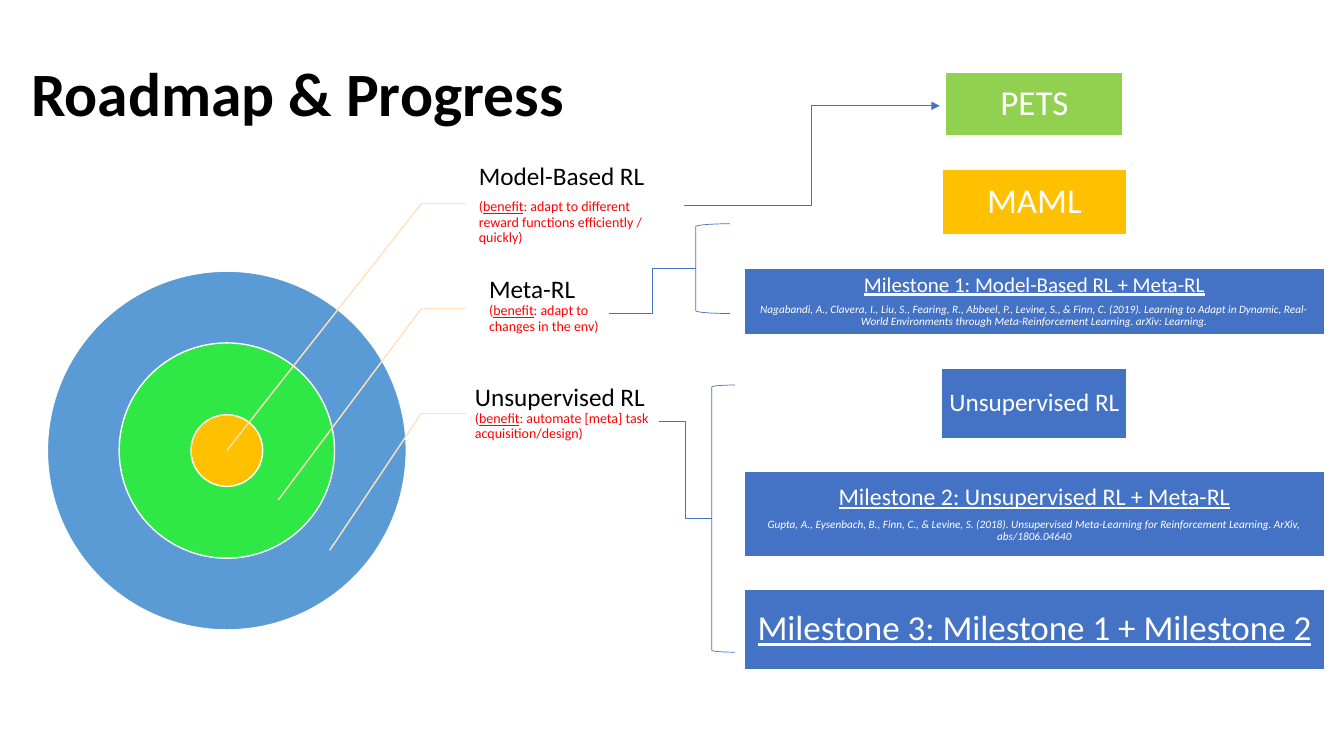
from lxml.etree import SubElement
from pptx import Presentation
from pptx.dml.color import RGBColor
from pptx.enum.shapes import MSO_CONNECTOR as CONN, MSO_SHAPE as SHAPE
from pptx.enum.text import MSO_ANCHOR as ANCHOR, MSO_AUTO_SIZE as FIT, PP_ALIGN as ALIGN
from pptx.oxml.ns import qn
from pptx.util import Inches, Pt

BLACK = RGBColor(0, 0, 0)
WHITE = RGBColor(255, 255, 255)
RED = RGBColor(255, 0, 0)
SKY = RGBColor(0x5B, 0x9B, 0xD5)
GREEN = RGBColor(0x30, 0xE8, 0x45)
LIME = RGBColor(0x92, 0xD0, 0x50)
AMBER = RGBColor(0xFF, 0xC0, 0)
BLUE = RGBColor(0x44, 0x72, 0xC4)
PEACH = RGBColor(0xFF, 0xE2, 0xBD)

RINGS = [(5, SKY), (3, GREEN), (1, AMBER)]
TOPICS = [
    ("Model-Based RL", ": adapt to different reward functions efficiently / quickly)",
     (4.61, 1.51, 2.06), (2.25, 4.47), True),
    ("Meta-RL ", ": adapt to changes in the env)",
     (4.71, 2.51, 1.42), (2.76, 4.96), False),
    ("Unsupervised RL", ": automate [meta] task acquisition/design)",
     (4.57, 3.58, 2.2), (3.27, 5.46), False),
]
STEPS = [
    ("PETS", "", 1.76, 0.63, 25, 0.07, LIME),
    ("MAML", "", 1.83, 0.65, 25, 0.07, AMBER),
    ("Milestone 1: Model-Based RL + Meta-RL",
     "Nagabandi, A., Clavera, I., Liu, S., Fearing, R., Abbeel, P., Levine, S., & Finn, C. (2019). "
     "Learning to Adapt in Dynamic, Real-World Environments through Meta-Reinforcement Learning. "
     "arXiv: Learning.", 5.76, 0.66, 15, 0.04, BLUE),
    ("Unsupervised RL", "", 1.84, 0.7, 18, 0.05, BLUE),
    ("Milestone 2: Unsupervised RL + Meta-RL",
     "Gupta, A., Eysenbach, B., Finn, C., & Levine, S. (2018). Unsupervised Meta-Learning for "
     "Reinforcement Learning. ArXiv, abs/1806.04640", 5.76, 0.84, 17, 0.05, BLUE),
    ("Milestone 3: Milestone 1 + Milestone 2", "", 5.76, 0.79, 25, 0.07, BLUE),
]


def style_run(run, size, color, bold=False, italic=False, underline=False):
    run.font.name = "Calibri"
    run.font.size = Pt(size)
    run.font.color.rgb = color
    run.font.bold = bold
    run.font.italic = italic
    run.font.underline = underline


def space_paragraph(paragraph, size):
    paragraph.line_spacing = 0.9
    paragraph.space_after = Pt(round(size * 0.35, 1))


def set_frame(frame, left, other):
    frame.word_wrap = True
    frame.auto_size = FIT.NONE
    frame.vertical_anchor = ANCHOR.MIDDLE
    frame.margin_left = Inches(left)
    frame.margin_top = frame.margin_right = frame.margin_bottom = Inches(other)


def add_line(slide, start, end, color, width, kind=CONN.STRAIGHT, arrow=False):
    line = slide.shapes.add_connector(kind, *map(Inches, (*start, *end)))
    line.line.color.rgb = color
    line.line.width = Pt(width)
    properties = line._element.spPr
    if arrow:
        SubElement(properties.find(qn("a:ln")), qn("a:tailEnd"), type="triangle")
    SubElement(properties, qn("a:effectLst"))


def add_figure(slide, preset, left, top, width, height, fill, outline, weight):
    figure = slide.shapes.add_shape(preset, *map(Inches, (left, top, width, height)))
    figure.shadow.inherit = False
    if fill is None:
        figure.fill.background()
    else:
        figure.fill.solid()
        figure.fill.fore_color.rgb = fill
    figure.line.color.rgb = outline
    figure.line.width = Pt(weight)
    return figure


def add_heading(slide, left, top, width, height):
    title = slide.shapes.title
    title.left, title.top, title.width, title.height = map(Inches, (left, top, width, height))
    set_frame(title.text_frame, 0.1, 0.05)
    title.text_frame.text = "Roadmap & Progress"
    heading = title.text_frame.paragraphs[0]
    heading.alignment = ALIGN.LEFT
    heading.line_spacing = 0.9
    style_run(heading.runs[0], 44, BLACK, bold=True)


def add_target(slide, left, top, size):
    for units, color in RINGS:
        diameter = size * units / RINGS[0][0]
        inset = (size - diameter) / 2
        add_figure(slide, SHAPE.OVAL, left + inset, top + inset, diameter, diameter, color, WHITE, 1)


def add_topic(slide, left, top, width, name, benefit, split):
    label = slide.shapes.add_textbox(*map(Inches, (left, top, width, 1.04)))
    frame = label.text_frame
    set_frame(frame, 0.14, 0.03)
    frame.text = name
    paragraph = frame.paragraphs[0]
    style_run(paragraph.runs[0], 18, BLACK)
    space_paragraph(paragraph, 18 if split else 10)
    if split:
        paragraph = frame.add_paragraph()
        space_paragraph(paragraph, 10)
    else:
        paragraph.add_line_break()
    for words in ("(", "benefit", benefit):
        run = paragraph.add_run()
        run.text = words
        style_run(run, 10, RED, underline=words == "benefit")


def add_topics(slide, bend, top, step):
    for row, (name, benefit, box, tip, split) in enumerate(TOPICS):
        corner = (bend, top + row * step)
        add_topic(slide, *box, name, benefit, split)
        add_line(slide, corner, (bend + 0.44, corner[1]), PEACH, 1)
        add_line(slide, corner, tip, PEACH, 1)


def add_steps(slide, left, top, width, gap):
    for name, citation, box_width, height, size, margin, color in STEPS:
        box_left = left + (width - box_width) / 2
        box = add_figure(slide, SHAPE.RECTANGLE, box_left, top, box_width, height, color, WHITE, 1)
        frame = box.text_frame
        set_frame(frame, margin, margin)
        frame.text = f"{name}\n{citation}" if citation else name
        for paragraph, points in zip(frame.paragraphs, (size, 8)):
            is_citation = paragraph.text == citation
            paragraph.alignment = ALIGN.CENTER
            space_paragraph(paragraph, points)
            style_run(paragraph.runs[0], points, WHITE, italic=is_citation,
                      underline=not is_citation and name.startswith("Milestone"))
        top += height + gap


def add_bracket(slide, left, top, width, height, start):
    add_figure(slide, SHAPE.LEFT_BRACKET, left, top, width, height, None, BLUE, 0.5)
    add_line(slide, start, (left, top + height / 2), BLUE, 0.5, CONN.ELBOW)


def main():
    deck = Presentation()
    deck.slide_width, deck.slide_height = Inches(13.33), Inches(7.5)
    slide = deck.slides.add_slide(deck.slide_layouts[5])
    add_heading(slide, 0.21, 0.23, 11.5, 1.45)
    add_target(slide, 0.47, 2.69, 3.56)
    add_topics(slide, 4.18, 2.02, 1.04)
    add_steps(slide, 7.38, 0.72, 5.76, 0.33)
    add_line(slide, (6.78, 2.04), (9.32, 1.05), BLUE, 0.5, CONN.ELBOW, arrow=True)
    add_bracket(slide, 6.9, 2.22, 0.34, 0.89, (6.04, 3.11))
    add_bracket(slide, 7.06, 3.82, 0.23, 2.65, (6.54, 4.18))
    deck.save("out.pptx")


if __name__ == "__main__":
    main()
